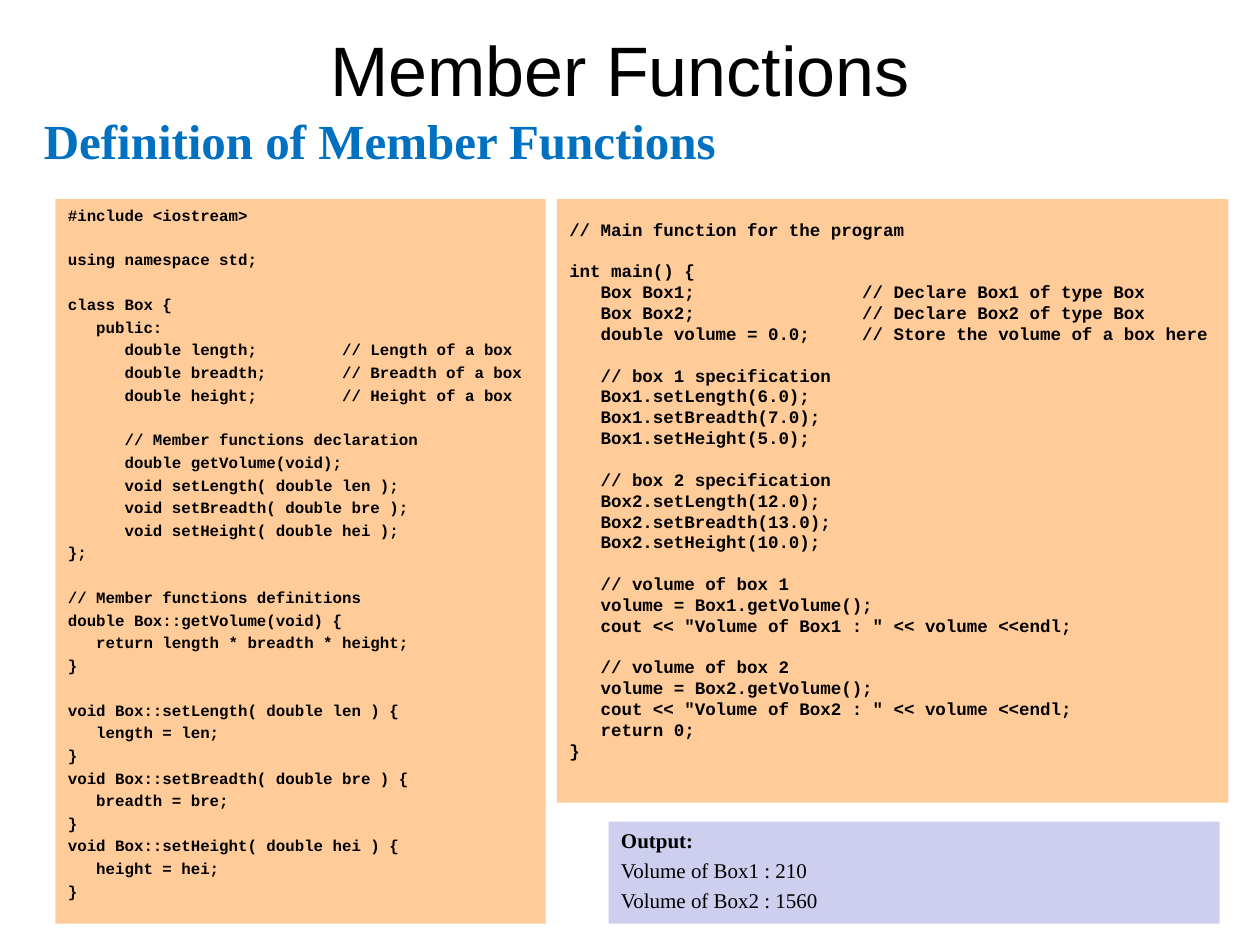
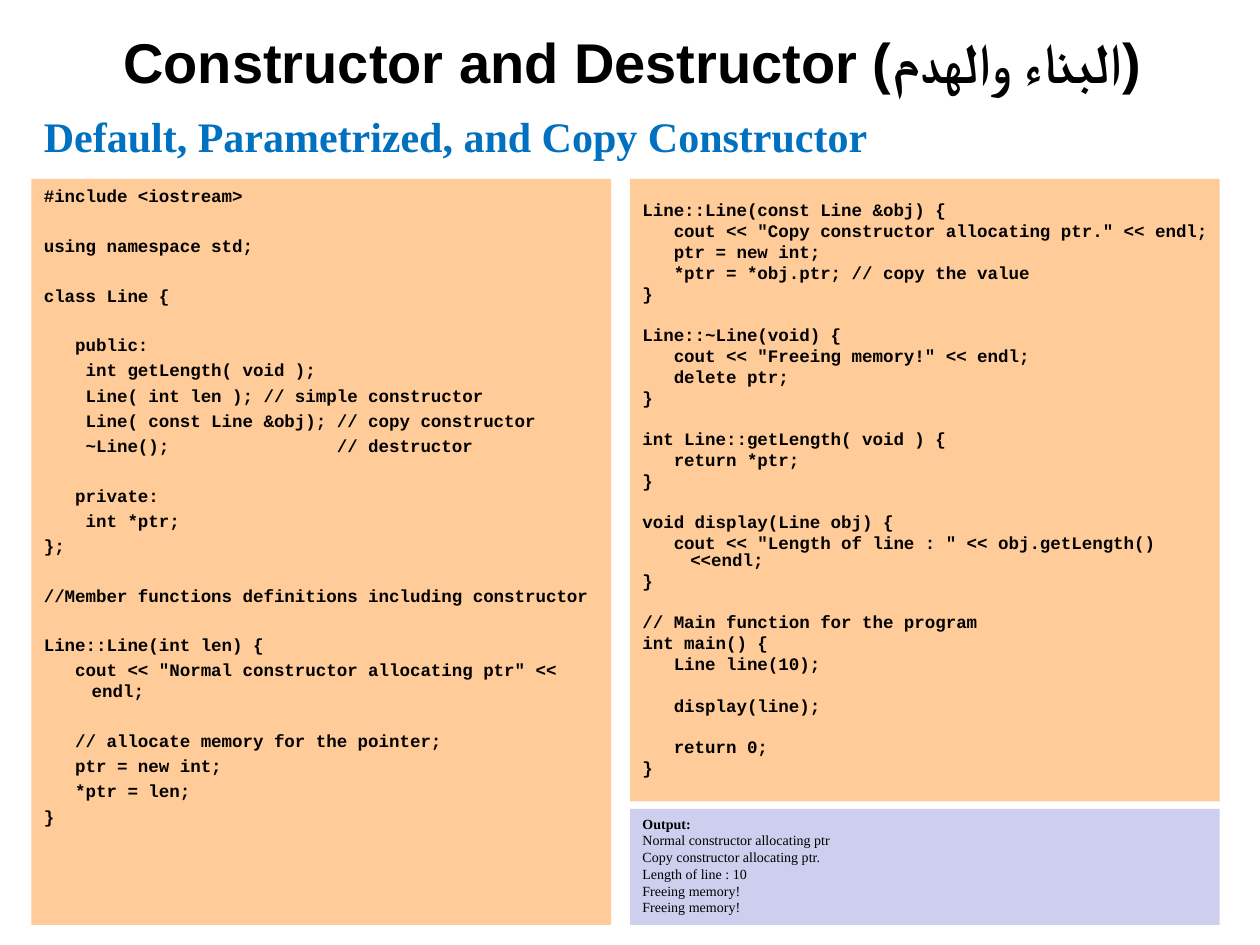
from dataclasses import dataclass

from pptx import Presentation
from pptx import util as u
from pptx.dml.color import RGBColor
from pptx.enum import shapes, text

BLACK, BLUE = "000000", "0070C0"
CODE_FILL, OUTPUT_FILL = "FFCC99", "CECEEF"
HEADING_FONT, CODE_FONT, BODY_FONT = "Arial", "Courier New", "Times New Roman"
LINE_HEIGHT = 1.17  # line height relative to the font size
PARAGRAPH_GAP = 0.2  # gap between paragraphs relative to the line height
HANGING = u.Inches(0.38)


@dataclass
class Area:
    left: float
    top: float
    width: float
    height: float

    def lengths(self) -> list[u.Length]:
        return [u.Inches(v) for v in (self.left, self.top, self.width, self.height)]


@dataclass
class Heading:
    words: str
    area: Area
    size: int
    bold: bool


@dataclass
class Panel:
    area: Area
    words: str
    size: int
    fill: str = CODE_FILL
    font: str = CODE_FONT
    spacing: float = 1.0
    gap: float = PARAGRAPH_GAP
    top_inset: float = 0.05


@dataclass
class Page:
    title: Heading
    subtitle: str
    subtitle_size: int
    panels: list[Panel]


SUBTITLE_AREA = Area(0.25, 0.83, 9.58, 0.76)

BOX_CLASS = """#include <iostream>

using namespace std;

class Box {
   public:
      double length;         // Length of a box
      double breadth;        // Breadth of a box
      double height;         // Height of a box

      // Member functions declaration
      double getVolume(void);
      void setLength( double len );
      void setBreadth( double bre );
      void setHeight( double hei );
};

// Member functions definitions
double Box::getVolume(void) {
   return length * breadth * height;
}

void Box::setLength( double len ) {
   length = len;
}
void Box::setBreadth( double bre ) {
   breadth = bre;
}
void Box::setHeight( double hei ) {
   height = hei;
}"""

BOX_MAIN = """// Main function for the program

int main() {
   Box Box1;                // Declare Box1 of type Box
   Box Box2;                // Declare Box2 of type Box
   double volume = 0.0;     // Store the volume of a box here

   // box 1 specification
   Box1.setLength(6.0);
   Box1.setBreadth(7.0);
   Box1.setHeight(5.0);

   // box 2 specification
   Box2.setLength(12.0);
   Box2.setBreadth(13.0);
   Box2.setHeight(10.0);

   // volume of box 1
   volume = Box1.getVolume();
   cout << "Volume of Box1 : " << volume <<endl;

   // volume of box 2
   volume = Box2.getVolume();
   cout << "Volume of Box2 : " << volume <<endl;
   return 0;
}"""

BOX_OUTPUT = """Output:
Volume of Box1 : 210
Volume of Box2 : 1560"""

LINE_CLASS = """#include <iostream>

using namespace std;

class Line {

   public:
    int getLength( void );
    Line( int len ); // simple constructor
    Line( const Line &obj); // copy constructor
    ~Line();                // destructor

   private:
    int *ptr;
};

//Member functions definitions including constructor

Line::Line(int len) {
   cout << "Normal constructor allocating ptr" << endl;

   // allocate memory for the pointer;
   ptr = new int;
   *ptr = len;
}"""

LINE_MAIN = """Line::Line(const Line &obj) {
   cout << "Copy constructor allocating ptr." << endl;
   ptr = new int;
   *ptr = *obj.ptr; // copy the value
}

Line::~Line(void) {
   cout << "Freeing memory!" << endl;
   delete ptr;
}

int Line::getLength( void ) {
   return *ptr;
}

void display(Line obj) {
   cout << "Length of line : " << obj.getLength() <<endl;
}

// Main function for the program
int main() {
   Line line(10);

   display(line);

   return 0;
}"""

LINE_OUTPUT = """Output:
Normal constructor allocating ptr
Copy constructor allocating ptr.
Length of line : 10
Freeing memory!
Freeing memory!"""

PAGES = [
    Page(
        Heading("Member Functions", Area(0.42, 0.25, 9, 0.58), 40, False),
        "Definition of Member Functions", 28,
        [
            Panel(Area(0.44, 1.58, 3.89, 5.75), BOX_CLASS, 9),
            Panel(Area(4.42, 1.58, 5.33, 4.79), BOX_MAIN, 10, spacing=0.8, top_inset=0.19),
            Panel(Area(4.83, 6.52, 4.85, 0.81), BOX_OUTPUT, 12, OUTPUT_FILL, BODY_FONT),
        ],
    ),
    Page(
        Heading("Constructor and Destructor (البناء والهدم)", Area(0.25, 0.14, 9.54, 0.69), 32, True),
        "Default, Parametrized, and Copy Constructor", 24,
        [
            Panel(Area(0.25, 1.42, 4.6, 5.92), LINE_CLASS, 10),
            Panel(Area(5, 1.42, 4.68, 4.94), LINE_MAIN, 10, spacing=0.8, top_inset=0.19),
            Panel(Area(5, 6.42, 4.68, 0.92), LINE_OUTPUT, 8, OUTPUT_FILL, BODY_FONT, gap=0),
        ],
    ),
]


def color(value: str) -> RGBColor:
    return RGBColor.from_string(value)


def set_all(target, values: dict) -> None:
    for name, value in values.items():
        setattr(target, name, value)


def add_span(para, words: str, font: str, size: int, ink: str, bold: bool) -> None:
    span = para.add_run()
    span.text = words
    set_all(span.font, {"name": font, "size": u.Pt(size), "bold": bold})
    span.font.color.rgb = color(ink)


def add_heading(page, heading: Heading, font: str, ink: str, anchor, align) -> None:
    box = page.shapes.add_textbox(*heading.area.lengths())
    set_all(box.text_frame, {"word_wrap": True, "vertical_anchor": anchor})
    para = box.text_frame.paragraphs[0]
    para.alignment = align
    add_span(para, heading.words, font, heading.size, ink, heading.bold)


def add_panel(page, panel: Panel) -> None:
    """Draw a filled panel; each blank line of its words becomes space before the next line."""
    box = page.shapes.add_shape(shapes.MSO_SHAPE.RECTANGLE, *panel.area.lengths())
    box.shadow.inherit = False
    box.fill.solid()
    box.fill.fore_color.rgb = color(panel.fill)
    box.line.fill.background()
    frame = box.text_frame
    set_all(frame, {
        "word_wrap": True,
        "vertical_anchor": text.MSO_ANCHOR.TOP,
        "margin_top": u.Inches(panel.top_inset),
        "margin_right": u.Inches(0.05),
    })
    line = panel.size * LINE_HEIGHT
    gap = line * panel.gap
    is_code = panel.font == CODE_FONT
    para, blanks = None, 0
    for words in panel.words.split("\n"):
        if not words:
            blanks += 1
            continue
        first = para is None
        para = frame.paragraphs[0] if first else frame.add_paragraph()
        before = 0 if first else gap + blanks * (line * panel.spacing + gap)
        set_all(para, {
            "alignment": text.PP_ALIGN.LEFT,
            "line_spacing": panel.spacing,
            "space_before": u.Pt(before),
        })
        props = para._p.get_or_add_pPr()
        props.set("marL", str(HANGING))
        props.set("indent", str(-HANGING))
        add_span(para, words, panel.font, panel.size, BLACK, is_code or first)
        blanks = 0


def main() -> None:
    deck = Presentation()
    set_all(deck, {"slide_width": u.Inches(10), "slide_height": u.Inches(7.5)})
    for content in PAGES:
        page = deck.slides.add_slide(deck.slide_layouts[6])
        subtitle = Heading(content.subtitle, SUBTITLE_AREA, content.subtitle_size, True)
        add_heading(page, subtitle, BODY_FONT, BLUE, text.MSO_ANCHOR.TOP, text.PP_ALIGN.LEFT)
        add_heading(page, content.title, HEADING_FONT, BLACK, text.MSO_ANCHOR.MIDDLE, text.PP_ALIGN.CENTER)
        for panel in content.panels:
            add_panel(page, panel)
    deck.save("out.pptx")


if __name__ == "__main__":
    main()
